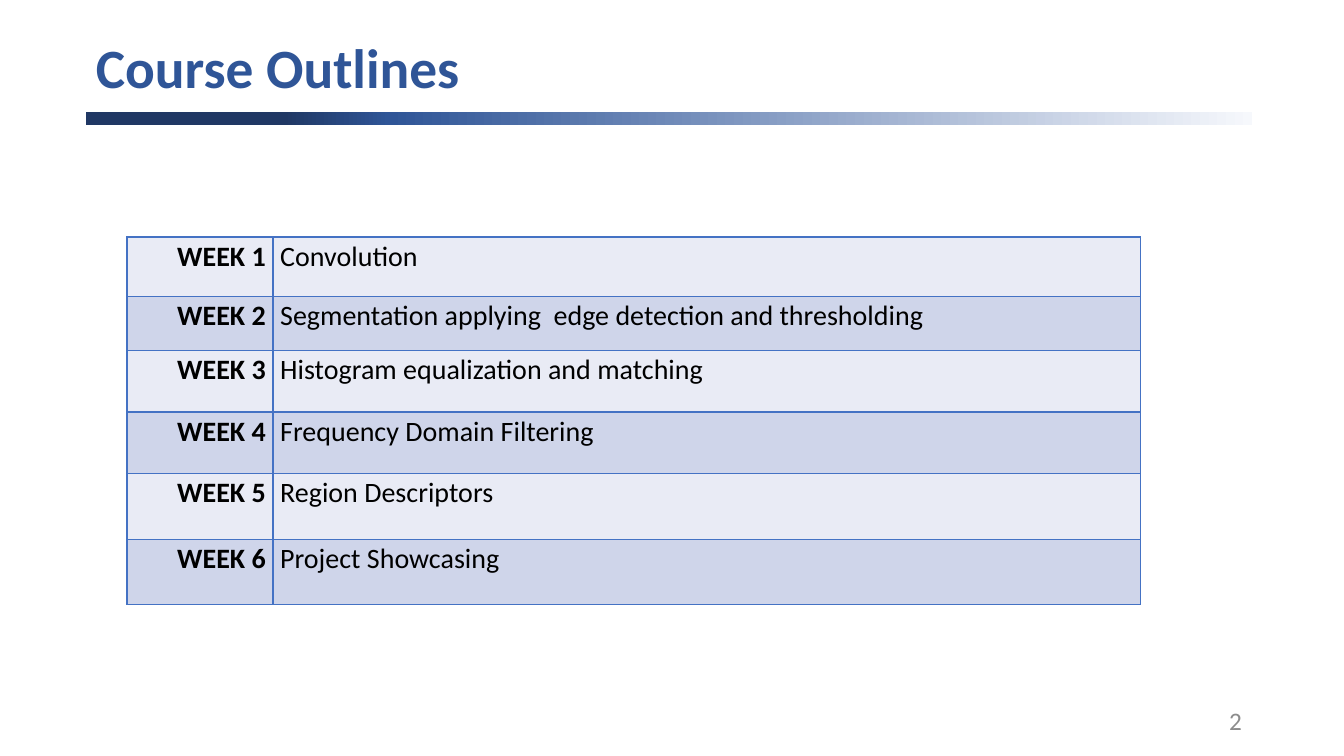
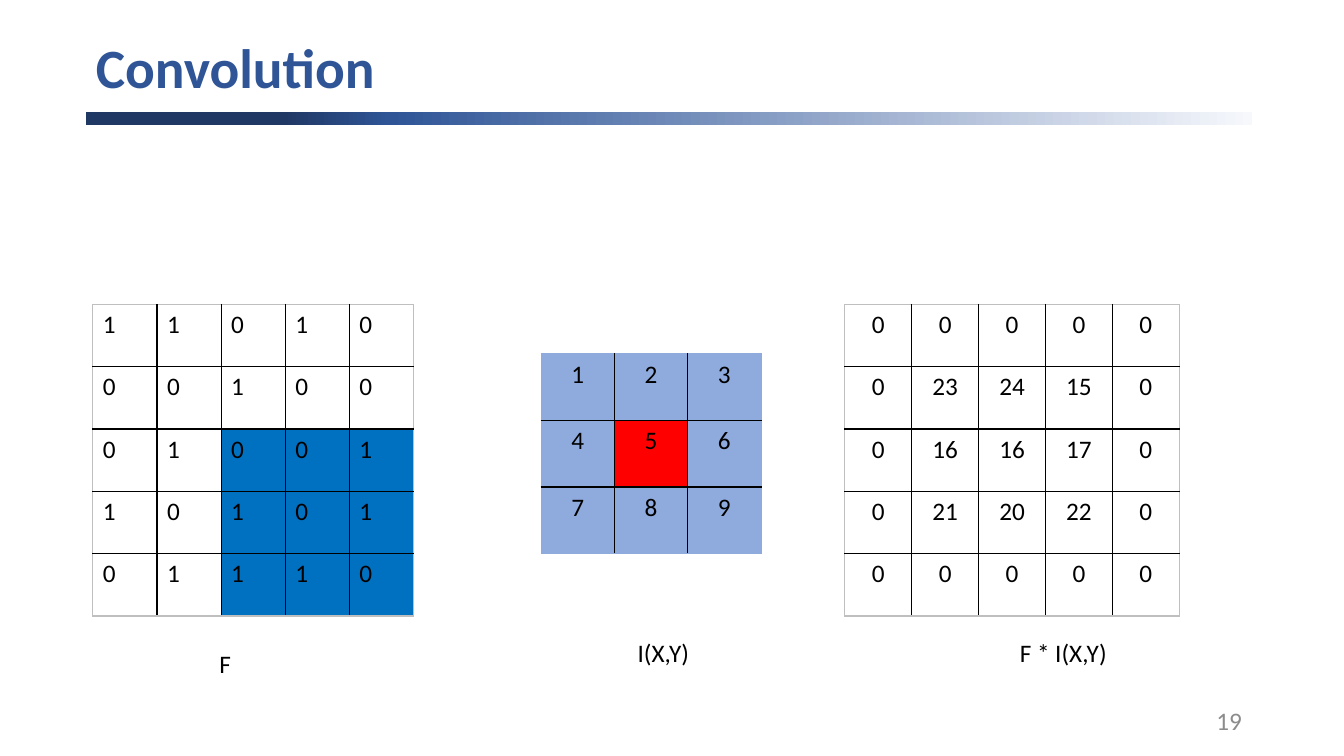
from lxml import etree
from pptx import Presentation
from pptx.dml.color import RGBColor
from pptx.enum import shapes, text
from pptx.oxml import ns
from pptx.util import Cm, Pt

FONT = "Calibri"
NAVY = RGBColor(0x20, 0x38, 0x64)
BLUE = RGBColor(0x2F, 0x55, 0x97)
PALE = RGBColor(0xF6, 0xF8, 0xFC)
BLACK = RGBColor(0, 0, 0)
GREY = RGBColor(0x8C, 0x8C, 0x8C)
EDGE_GREY = RGBColor(0xBF, 0xBF, 0xBF)
TABLE_LINE = RGBColor(0x44, 0x72, 0xC4)
ROW_FILLS = (RGBColor(0xE9, 0xEB, 0xF5), RGBColor(0xCF, 0xD5, 0xEA))
WINDOW = RGBColor(0, 0x70, 0xC0)
KERNEL = RGBColor(0x8F, 0xAA, 0xDC)
RED = RGBColor(0xFF, 0, 0)

LEFT, CENTER, RIGHT = text.PP_ALIGN.LEFT, text.PP_ALIGN.CENTER, text.PP_ALIGN.RIGHT

WEEKS = [
    ("Convolution", 1.5),
    ("Segmentation applying  edge detection and thresholding", 1.37),
    ("Histogram equalization and matching", 1.54),
    ("Frequency Domain Filtering", 1.56),
    ("Region Descriptors", 1.65),
    ("Project Showcasing", 1.65),
]
F = [[1, 1, 0, 1, 0], [0, 0, 1, 0, 0], [0, 1, 0, 0, 1], [1, 0, 1, 0, 1], [0, 1, 1, 1, 0]]
I = [[1, 2, 3], [4, 5, 6], [7, 8, 9]]
RESULT = [[0, 0, 0, 0, 0], [0, 23, 24, 15, 0], [0, 16, 16, 17, 0],
          [0, 21, 20, 22, 0], [0, 0, 0, 0, 0]]


def write(tf, words, size=18, color=BLACK, bold=False, align=LEFT, spacing=None):
    tf.text = words
    p = tf.paragraphs[0]
    p.alignment = align
    if spacing:
        p.line_spacing = spacing
    font = p.runs[0].font
    font.name, font.size, font.bold = FONT, Pt(size), bold
    font.color.rgb = color


def add_label(s, box, words, wrap=False, anchor=text.MSO_ANCHOR.TOP, **style):
    tf = s.shapes.add_textbox(*map(Cm, box)).text_frame
    tf.word_wrap = wrap
    tf.vertical_anchor = anchor
    write(tf, words, **style)


def set_gradient(shape, stops):
    shape.fill.gradient()
    shape.fill.gradient_angle = 0
    stop_list = shape._element.spPr.find(".//" + ns.qn("a:gsLst"))
    for stop in list(stop_list):
        stop_list.remove(stop)
    for percent, color in stops:
        stop = etree.SubElement(stop_list, ns.qn("a:gs"), pos=str(percent * 1000))
        etree.SubElement(stop, ns.qn("a:srgbClr"), val=str(color))


def add_frame(prs, title, number):
    s = prs.slides.add_slide(prs.slide_layouts[5])
    bar = s.shapes.add_shape(shapes.MSO_SHAPE.RECTANGLE, Cm(2.16), Cm(2.82), Cm(29.39), Cm(0.34))
    bar.shadow.inherit = False
    bar.line.fill.background()
    set_gradient(bar, [(0, NAVY), (17, NAVY), (26, BLUE), (100, PALE)])

    sp = s.shapes.title
    sp.left, sp.top, sp.width, sp.height = Cm(2.16), Cm(0.91), Cm(29.21), Cm(1.75)
    tf = sp.text_frame
    tf.vertical_anchor = text.MSO_ANCHOR.MIDDLE
    tf.auto_size = text.MSO_AUTO_SIZE.NONE
    write(tf, title, size=39.6, color=BLUE, bold=True, spacing=0.9)

    add_label(s, (23.93, 17.65, 7.62, 1.02), str(number), wrap=True,
              anchor=text.MSO_ANCHOR.MIDDLE, color=GREY, align=RIGHT)
    return s


def set_borders(cell, colors):
    tcPr = cell._tc.get_or_add_tcPr()
    for side, color in zip("LRTB", colors):
        line = etree.SubElement(tcPr, ns.qn("a:ln" + side), w=str(Pt(1)))
        fill = etree.SubElement(line, ns.qn("a:solidFill"))
        etree.SubElement(fill, ns.qn("a:srgbClr"), val=str(color))


def add_grid(s, left, top, widths, heights, inner, outer):
    rows, cols = len(heights), len(widths)
    table = s.shapes.add_table(rows, cols, Cm(left), Cm(top),
                               Cm(sum(widths)), Cm(sum(heights))).table
    table.first_row = table.horz_banding = False
    for column, width in zip(table.columns, widths):
        column.width = Cm(width)
    for row, height in zip(table.rows, heights):
        row.height = Cm(height)
    for r in range(rows):
        for c in range(cols):
            at_edge = (c == 0, c == cols - 1, r == 0, r == rows - 1)
            set_borders(table.cell(r, c), [outer if edge else inner for edge in at_edge])
    return table


def add_week_table(s, left, top):
    heights = [height for _, height in WEEKS]
    table = add_grid(s, left, top, (3.68, 21.87), heights, TABLE_LINE, TABLE_LINE)
    for r, (topic, _) in enumerate(WEEKS):
        entries = ((f"WEEK {r + 1}", True, RIGHT), (topic, False, LEFT))
        for c, (words, bold, align) in enumerate(entries):
            cell = table.cell(r, c)
            cell.margin_left = cell.margin_right = Cm(0.18)
            cell.margin_top = cell.margin_bottom = 0
            cell.fill.solid()
            cell.fill.fore_color.rgb = ROW_FILLS[r % 2]
            write(cell.text_frame, words, size=20, bold=bold, align=align, spacing=1.07)


def add_matrix(s, box, values, fill_at, outer=EDGE_GREY, align=CENTER):
    left, top, width, height = box
    n = len(values)
    table = add_grid(s, left, top, [width / n] * n, [height / n] * n, BLACK, outer)
    for r, row in enumerate(values):
        for c, value in enumerate(row):
            cell = table.cell(r, c)
            color = fill_at(r, c)
            if color is None:
                cell.fill.background()
            else:
                cell.fill.solid()
                cell.fill.fore_color.rgb = color
            write(cell.text_frame, str(value), align=align)


def add_outline_slide(prs):
    s = add_frame(prs, "Course Outlines", 2)
    add_week_table(s, 3.2, 5.97)


def add_convolution_slide(prs):
    s = add_frame(prs, "Convolution", 19)
    add_matrix(s, (2.34, 7.67, 8.08, 7.85), F,
               lambda r, c: WINDOW if min(r, c) >= 2 else None, align=LEFT)
    add_matrix(s, (13.64, 8.92, 5.54, 5.03), I,
               lambda r, c: RED if r == c == 1 else KERNEL, outer=KERNEL)
    add_matrix(s, (21.29, 7.67, 8.43, 7.85), RESULT, lambda r, c: None)
    add_label(s, (5.28, 16.21, 0.81, 1.02), "F")
    add_label(s, (15.82, 15.93, 1.83, 1.02), "I(X,Y)")
    add_label(s, (25.45, 15.93, 2.74, 1.02), "F * I(X,Y)")


def main():
    prs = Presentation()
    prs.slide_width, prs.slide_height = Cm(33.87), Cm(19.05)
    add_outline_slide(prs)
    add_convolution_slide(prs)
    prs.save("out.pptx")


if __name__ == "__main__":
    main()
